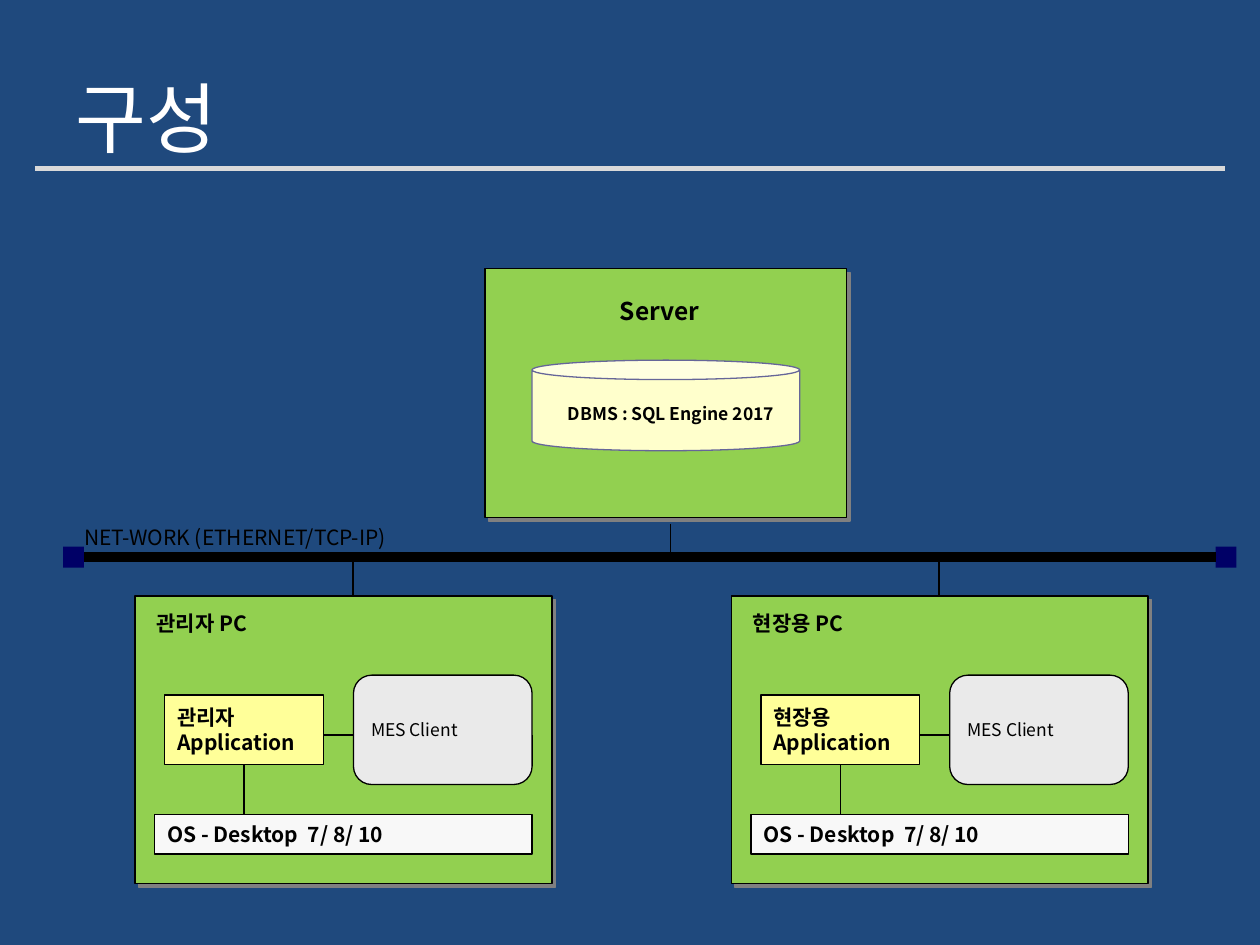
"""Build the system configuration slide: a server and two PCs on one network."""
from dataclasses import dataclass
from typing import Optional

from lxml import etree
from pptx import Presentation
from pptx.dml.color import RGBColor
from pptx.enum.shapes import MSO_CONNECTOR, MSO_SHAPE
from pptx.enum.text import MSO_ANCHOR, PP_ALIGN
from pptx.oxml.ns import qn
from pptx.util import Pt

RECT, ROUND, CAN = MSO_SHAPE.RECTANGLE, MSO_SHAPE.ROUNDED_RECTANGLE, MSO_SHAPE.CAN
STRAIGHT = MSO_CONNECTOR.STRAIGHT
TOP, MIDDLE = MSO_ANCHOR.TOP, MSO_ANCHOR.MIDDLE
LEFT, CENTER = PP_ALIGN.LEFT, PP_ALIGN.CENTER

NAVY = RGBColor(0x1F, 0x49, 0x7D)
WHITE = RGBColor(0xFF, 0xFF, 0xFF)
BLACK = RGBColor(0, 0, 0)
RULE = RGBColor(0xD9, 0xD9, 0xD9)
TERMINAL = RGBColor(0, 0, 0x66)
GREEN = RGBColor(0x92, 0xD0, 0x50)
CREAM = RGBColor(0xFF, 0xFF, 0xCC)
VIOLET = RGBColor(0x66, 0x66, 0x99)
YELLOW = RGBColor(0xFF, 0xFF, 0x99)
PALE = RGBColor(0xF8, 0xF8, 0xF8)
GREY = RGBColor(0xEA, 0xEA, 0xEA)
SHADOW = RGBColor(0x80, 0x80, 0x80)

FONT = "Noto Sans CJK KR"
NETWORK_Y = 318.4
PC_TOP = 340.6


@dataclass
class Box:
    x: float
    y: float
    w: float
    h: float
    fill: RGBColor
    line: Optional[RGBColor] = BLACK
    kind: MSO_SHAPE = RECT
    adj: Optional[float] = None
    text: str = ""
    size: float = 12
    bold: bool = True
    shadow: bool = False


@dataclass
class Label:
    x: float
    y: float
    w: float
    h: float
    text: str
    size: float = 12
    bold: bool = True
    color: RGBColor = BLACK
    align: PP_ALIGN = LEFT
    anchor: MSO_ANCHOR = TOP
    insets: tuple = (2.9, 0, 0, 0)
    wrap: bool = False


@dataclass
class Pc:
    x: float
    drop_x: float
    user: str


def write(tf, text: str, size: float, bold: bool, color: RGBColor, align: PP_ALIGN) -> None:
    for i, line in enumerate(text.split("\n")):
        p = tf.paragraphs[0] if i == 0 else tf.add_paragraph()
        p.alignment = align
        r = p.add_run()
        r.text = line
        for name, value in {"name": FONT, "size": Pt(size), "bold": bold}.items():
            setattr(r.font, name, value)
        r.font.color.rgb = color
        ea = etree.SubElement(r.font._element, qn("a:ea"))
        ea.set("typeface", FONT)


def add_label(s, label: Label) -> None:
    sp = s.shapes.add_textbox(Pt(label.x), Pt(label.y), Pt(label.w), Pt(label.h))
    tf = sp.text_frame
    left, top, right, bottom = label.insets
    frame = {"margin_left": Pt(left), "margin_top": Pt(top), "margin_right": Pt(right),
             "margin_bottom": Pt(bottom), "word_wrap": label.wrap,
             "vertical_anchor": label.anchor}
    for name, value in frame.items():
        setattr(tf, name, value)
    write(tf, label.text, label.size, label.bold, label.color, label.align)


def cast_shadow(sp) -> None:
    effects = sp._element.spPr.find(qn("a:effectLst"))
    outer = etree.SubElement(effects, qn("a:outerShdw"))
    for name, value in {"dist": Pt(2.8), "dir": 45 * 60000, "algn": "ctr", "rotWithShape": 0}.items():
        outer.set(name, str(value))
    etree.SubElement(outer, qn("a:srgbClr")).set("val", str(SHADOW))


def add_box(s, box: Box) -> None:
    sp = s.shapes.add_shape(box.kind, Pt(box.x), Pt(box.y), Pt(box.w), Pt(box.h))
    sp.shadow.inherit = False
    sp.fill.solid()
    sp.fill.fore_color.rgb = box.fill
    if box.line is None:
        sp.line.fill.background()
    else:
        sp.line.color.rgb = box.line
        sp.line.width = Pt(0.75)
    if box.adj is not None:
        sp.adjustments[0] = box.adj
    if box.shadow:
        cast_shadow(sp)
    if box.text:
        sp.text_frame.vertical_anchor = MIDDLE
        sp.text_frame.word_wrap = True
        write(sp.text_frame, box.text, box.size, box.bold, BLACK, LEFT)


def add_line(s, x1: float, y1: float, x2: float, y2: float,
             color: RGBColor = BLACK, width: float = 1) -> None:
    c = s.shapes.add_connector(STRAIGHT, Pt(x1), Pt(y1), Pt(x2), Pt(y2))
    c.line.color.rgb = color
    c.line.width = Pt(width)
    etree.SubElement(c._element.spPr, qn("a:effectLst"))


def add_pc(s, pc: Pc) -> None:
    x, y = pc.x, PC_TOP
    add_line(s, pc.drop_x, NETWORK_Y, pc.drop_x, y)
    add_box(s, Box(x, y, 238.2, 164.2, GREEN, shadow=True))
    add_label(s, Label(x + 9.4, y + 8.4, 63, 14.4, f"{pc.user} PC"))
    add_box(s, Box(x + 17, y + 56.6, 90.7, 39.8, YELLOW, text=f"{pc.user}\nApplication"))
    add_box(s, Box(x + 11.3, y + 124.8, 215.6, 22.7, PALE, text="OS - Desktop  7/ 8/ 10"))
    add_box(s, Box(x + 124.8, y + 45.2, 102.1, 62.5, GREY, kind=ROUND, adj=0.167,
                   text="MES Client", size=10, bold=False))
    add_line(s, x + 62.4, y + 96.4, x + 62.4, y + 124.8)
    add_line(s, x + 107.7, y + 79.6, x + 124.8, y + 79.6)


def main() -> None:
    prs = Presentation()
    prs.slide_width, prs.slide_height = Pt(720), Pt(540)
    s = prs.slides.add_slide(prs.slide_layouts[6])
    s.background.fill.solid()
    s.background.fill.fore_color.rgb = NAVY

    add_label(s, Label(36, 21.6, 648, 90, "구성", size=44, bold=False, color=WHITE,
                       anchor=MIDDLE, insets=(7.2, 3.6, 7.2, 3.6), wrap=True))
    add_line(s, 20, 96.4, 700, 96.4, RULE, 3)

    for x in (36, 694.6):
        add_box(s, Box(x, 312.4, 12, 12, TERMINAL, line=None))
    add_line(s, 48, NETWORK_Y, 694.6, NETWORK_Y, width=6)
    add_label(s, Label(41, 296, 187, 21.6, "NET-WORK (ETHERNET/TCP-IP)", bold=False,
                       insets=(7.2, 3.6, 7.2, 3.6)))

    add_box(s, Box(277.2, 153.6, 206.6, 142.2, GREEN, shadow=True))
    add_label(s, Label(351.4, 169.2, 52, 17.3, "Server", size=14))
    add_box(s, Box(304, 205.8, 153, 51.8, CREAM, VIOLET, CAN, 0.215))
    add_label(s, Label(314, 230.4, 136, 14, "DBMS : SQL Engine 2017", size=10,
                       align=CENTER, wrap=True))
    add_line(s, 383.2, 299.4, 383.2, NETWORK_Y)

    for pc in (Pc(77.2, 201.8, "관리자"), Pc(417.9, 536.4, "현장용")):
        add_pc(s, pc)

    prs.save("out.pptx")


main()
